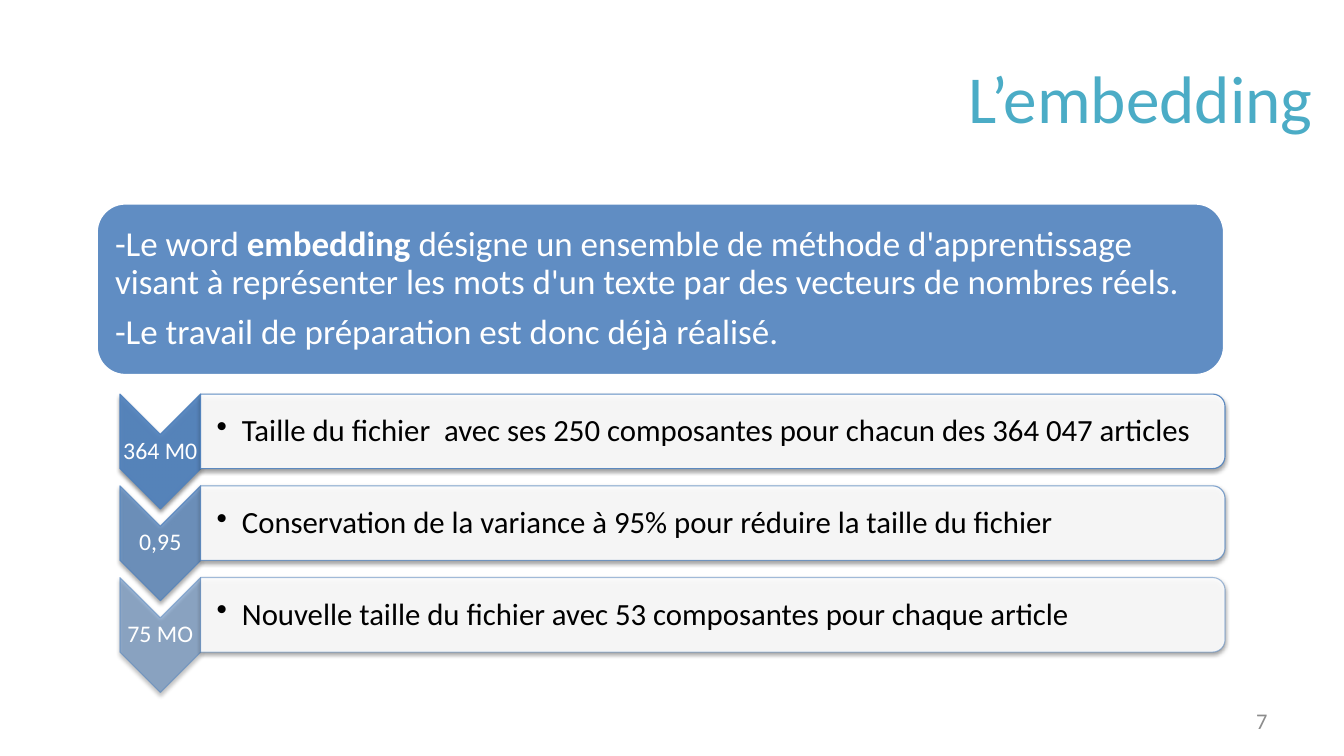
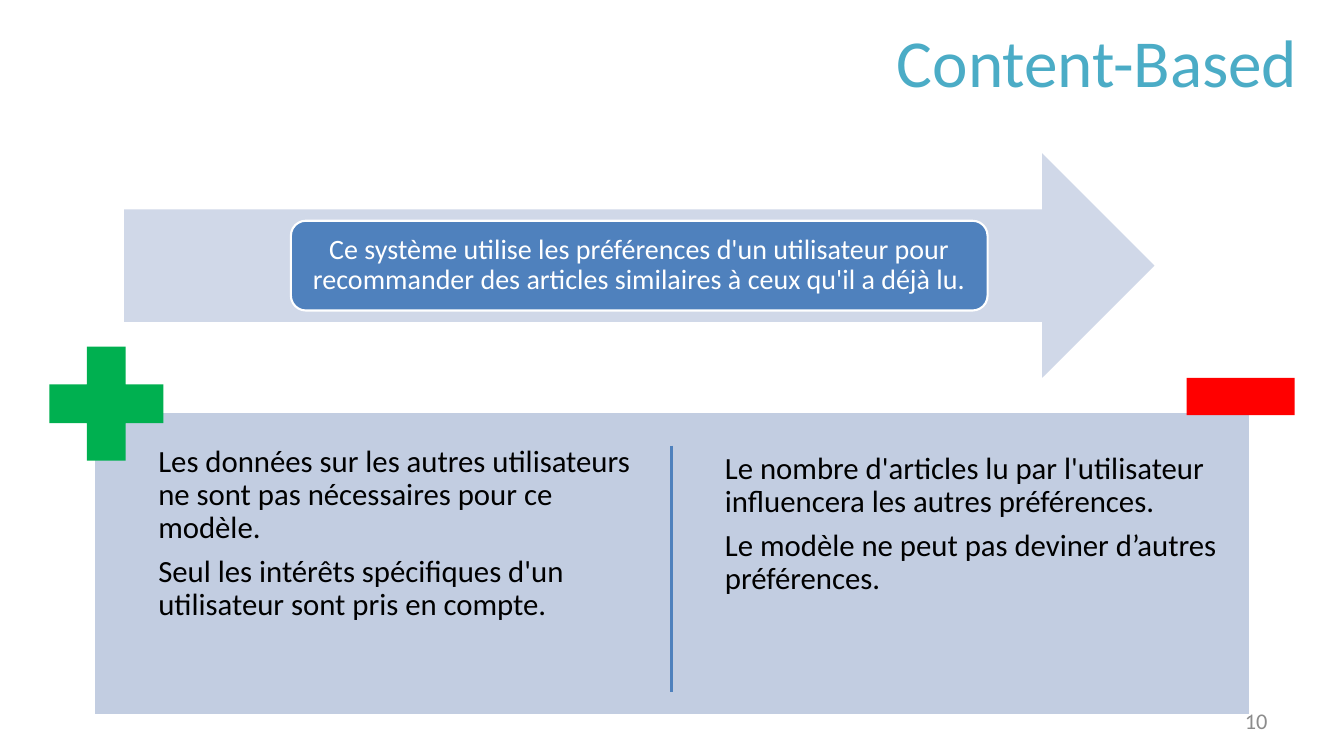
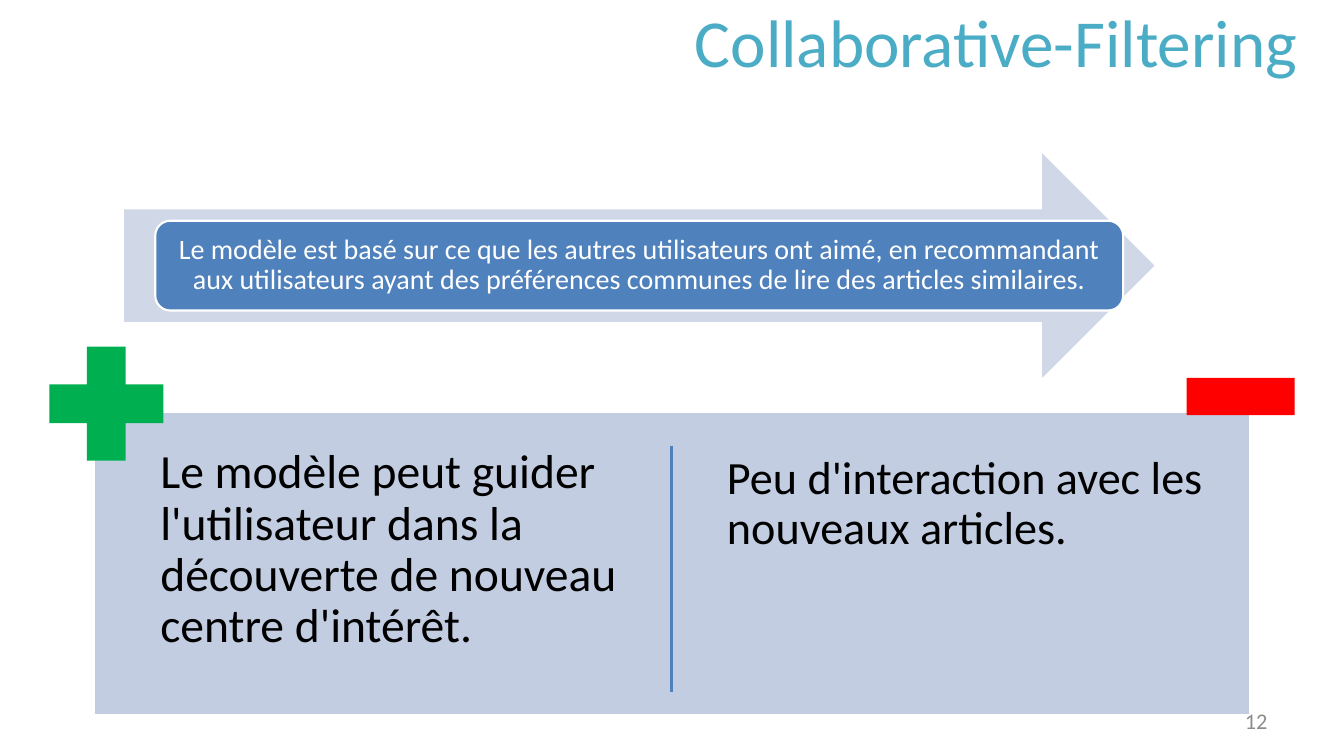
from lxml.etree import SubElement
from pptx import Presentation
from pptx.dml.color import RGBColor
from pptx.enum.shapes import MSO_CONNECTOR, MSO_SHAPE
from pptx.enum.text import MSO_ANCHOR, MSO_AUTO_SIZE, PP_ALIGN
from pptx.oxml.ns import qn
from pptx.util import Inches, Pt

FONT = "Calibri"
COLORS = {
    "title": "4BACC6", "accent": "4F81BD", "arrow": "D0D8E8", "panel": "C2CDE1",
    "plus": "00B050", "minus": "FF0000", "number": "8C8C8C",
    "white": "FFFFFF", "black": "000000",
}

EMBEDDING = {
    "title": "L’embedding", "title_at": (1.1, 0.56, 12.02, 0.8), "number": "7",
    "intro": [
        [("-Le word ", False), ("embedding", True),
         (" désigne un ensemble de méthode d'apprentissage visant à représenter "
          "les mots d'un texte par des vecteurs de nombres réels.", False)],
        "-Le travail de préparation est donc déjà réalisé.",
    ],
    "steps": [
        ("364 M0", "Taille du fichier  avec ses 250 composantes pour chacun des 364 047 articles", 90),
        ("0,95", "Conservation de la variance à 95% pour réduire la taille du fichier", 70),
        ("75 MO", "Nouvelle taille du fichier avec 53 composantes pour chaque article", 50),
    ],
}

MODELS = [
    {
        "title": "Content-Based", "title_at": (8.73, 0.2, 4.24, 0.8), "number": "10",
        "summary": "Ce système utilise les préférences d'un utilisateur pour recommander "
                   "des articles similaires à ceux qu'il a déjà lu.",
        "summary_width": 6.91,
        "inset": 0.05,
        "pros": (["Les données sur les autres utilisateurs ne sont pas nécessaires pour ce modèle.",
                  "Seul les intérêts spécifiques d'un utilisateur sont pris en compte."], 22),
        "cons": (["Le nombre d'articles lu par l'utilisateur influencera les autres préférences.",
                  "Le modèle ne peut pas deviner d’autres préférences."], 22),
    },
    {
        "title": "Collaborative-Filtering", "title_at": (5.15, 0, 7.82, 0.8), "number": "12",
        "summary": "Le modèle est basé sur ce que les autres utilisateurs ont aimé, en recommandant "
                   "aux utilisateurs ayant des préférences communes de lire des articles similaires.",
        "summary_width": 9.6,
        "inset": 0.07,
        "pros": (["Le modèle peut guider l'utilisateur dans la découverte "
                  "de nouveau centre d'intérêt."], 34),
        "cons": (["Peu d'interaction avec les nouveaux articles."], 33),
    },
]


def color(name):
    return RGBColor.from_string(COLORS[name])


def inches(place):
    return [Inches(value) for value in place]


def write(shape, paragraphs, size, ink, align=PP_ALIGN.LEFT, anchor=MSO_ANCHOR.MIDDLE,
          inset=(0.1, 0.05, 0.1, 0.05), spacing=0.9, after=0.35):
    frame = shape.text_frame
    frame.word_wrap = True
    frame.auto_size = MSO_AUTO_SIZE.NONE
    frame.vertical_anchor = anchor
    frame.margin_left, frame.margin_top, frame.margin_right, frame.margin_bottom = inches(inset)
    for index, content in enumerate(paragraphs):
        para = frame.add_paragraph() if index else frame.paragraphs[0]
        para.alignment = align
        para.line_spacing = spacing
        para.space_after = Pt(round(size * after, 1))
        para.font.name = FONT
        para.font.size = Pt(size)
        para.font.color.rgb = color(ink)
        for text, bold in [(content, False)] if isinstance(content, str) else content:
            span = para.add_run()
            span.text = text
            if bold:
                span.font.bold = True


def add_text(page, place, paragraphs, size, ink, **style):
    box = page.shapes.add_textbox(*inches(place))
    write(box, paragraphs, size, ink, **style)
    return box


def draw(page, kind, place, fill, line=None, width=1.5):
    shape = page.shapes.add_shape(kind, *inches(place))
    shape.shadow.inherit = False
    shape.fill.solid()
    shape.fill.fore_color.rgb = color(fill)
    if line:
        shape.line.color.rgb = color(line)
        shape.line.width = Pt(width)
    else:
        shape.line.fill.background()
    return shape


def set_opacity(shape, fill, line=None):
    colors = shape._element.spPr.iter(qn("a:srgbClr"))
    for element, percent in zip(list(colors), (fill, line)):
        if percent:
            SubElement(element, qn("a:alpha"), val=str(percent * 1000))


def add_shadow(shape, percent, distance):
    effects = shape._element.spPr.find(qn("a:effectLst"))
    shadow = SubElement(effects, qn("a:outerShdw"), blurRad=str(Pt(3)), dist=str(Pt(distance)),
                        dir="5400000", rotWithShape="0")
    tint = SubElement(shadow, qn("a:srgbClr"), val=COLORS["black"])
    SubElement(tint, qn("a:alpha"), val=str(percent * 1000))


def add_bullet(para):
    properties = para._p.get_or_add_pPr()
    properties.set("marL", str(Inches(0.25)))
    properties.set("indent", str(Inches(-0.25)))
    SubElement(properties, qn("a:buChar"), char="•")


def start_page(deck, content):
    page = deck.slides.add_slide(deck.slide_layouts[5])
    title = page.shapes.title
    title.left, title.top, title.width, title.height = inches(content["title_at"])
    write(title, [content["title"]], 48, "title", align=PP_ALIGN.RIGHT, spacing=1, after=0)
    add_text(page, (9.56, 6.95, 3.11, 0.4), [content["number"]], 16, "number",
             align=PP_ALIGN.RIGHT, spacing=1, after=0)
    return page


def draw_turned(page, kind, center_x, center_y, width, height, fill, fill_opacity, line_opacity):
    place = (center_x - width / 2, center_y - height / 2, width, height)
    shape = draw(page, kind, place, fill, "accent", 0.79)
    shape.rotation = 90
    set_opacity(shape, fill_opacity, line_opacity)
    return shape


def build_embedding(deck, content):
    page = start_page(deck, content)
    intro = draw(page, MSO_SHAPE.ROUNDED_RECTANGLE, (0.96, 2.02, 11.18, 1.7), "accent", "white")
    set_opacity(intro, 90)
    write(intro, content["intro"], 25, "white", inset=(0.1,) * 4)
    first_row, row_step = 4.28, 0.91
    for index, (label, text, opacity) in enumerate(content["steps"]):
        middle = first_row + index * row_step
        chevron = draw_turned(page, MSO_SHAPE.CHEVRON, 1.59, middle + 0.2, 1.14, 0.8,
                              "accent", opacity, opacity)
        add_shadow(chevron, 45, 2)
        add_text(page, (1.19, middle + 0.03, 0.8, 0.34), [label], 17, "white",
                 align=PP_ALIGN.CENTER, inset=(0.01,) * 4)
        bar = draw_turned(page, MSO_SHAPE.ROUND_2_SAME_RECTANGLE, 7.07, middle, 0.74, 10.16,
                          "white", 90, opacity)
        add_shadow(bar, 40, 1.4)
        box = add_text(page, (1.98, middle - 0.33, 10.13, 0.67), [text], 22, "black",
                       inset=(0.17, 0.02, 0.02, 0.02), after=0.15)
        add_bullet(box.text_frame.paragraphs[0])


def build_model(deck, content):
    page = start_page(deck, content)
    arrow_left, arrow_width = 1.23, 10.22
    draw(page, MSO_SHAPE.RIGHT_ARROW, (arrow_left, 1.52, arrow_width, 2.23), "arrow")
    width = content["summary_width"]
    summary = draw(page, MSO_SHAPE.ROUNDED_RECTANGLE,
                   (arrow_left + (arrow_width - width) / 2, 2.19, width, 0.89), "accent", "white")
    write(summary, [content["summary"]], 20, "white", align=PP_ALIGN.CENTER, inset=(0.08,) * 4)
    draw(page, MSO_SHAPE.RECTANGLE, (0.93, 4.09, 11.47, 3), "panel", "white")
    for side, left, top in (("pros", 1.52, 4.37), ("cons", 7.14, 4.44)):
        paragraphs, size = content[side]
        add_text(page, (left, top, 5.05, 2.56), paragraphs, size, "black",
                 anchor=MSO_ANCHOR.TOP, inset=(content["inset"],) * 4)
    plus = draw(page, MSO_SHAPE.CROSS, (0.49, 3.44, 1.13, 1.13), "plus")
    plus.adjustments[0] = 0.33
    draw(page, MSO_SHAPE.RECTANGLE, (11.77, 3.75, 1.07, 0.37), "minus")
    divider = page.shapes.add_connector(MSO_CONNECTOR.STRAIGHT, *inches((6.66, 4.42, 6.66, 6.87)))
    divider.line.color.rgb = color("accent")
    divider.line.width = Pt(1.5)
    SubElement(divider._element.spPr, qn("a:effectLst"))


def main():
    deck = Presentation()
    deck.slide_width, deck.slide_height = Inches(13.33), Inches(7.5)
    build_embedding(deck, EMBEDDING)
    for model in MODELS:
        build_model(deck, model)
    deck.save("out.pptx")


if __name__ == "__main__":
    main()
